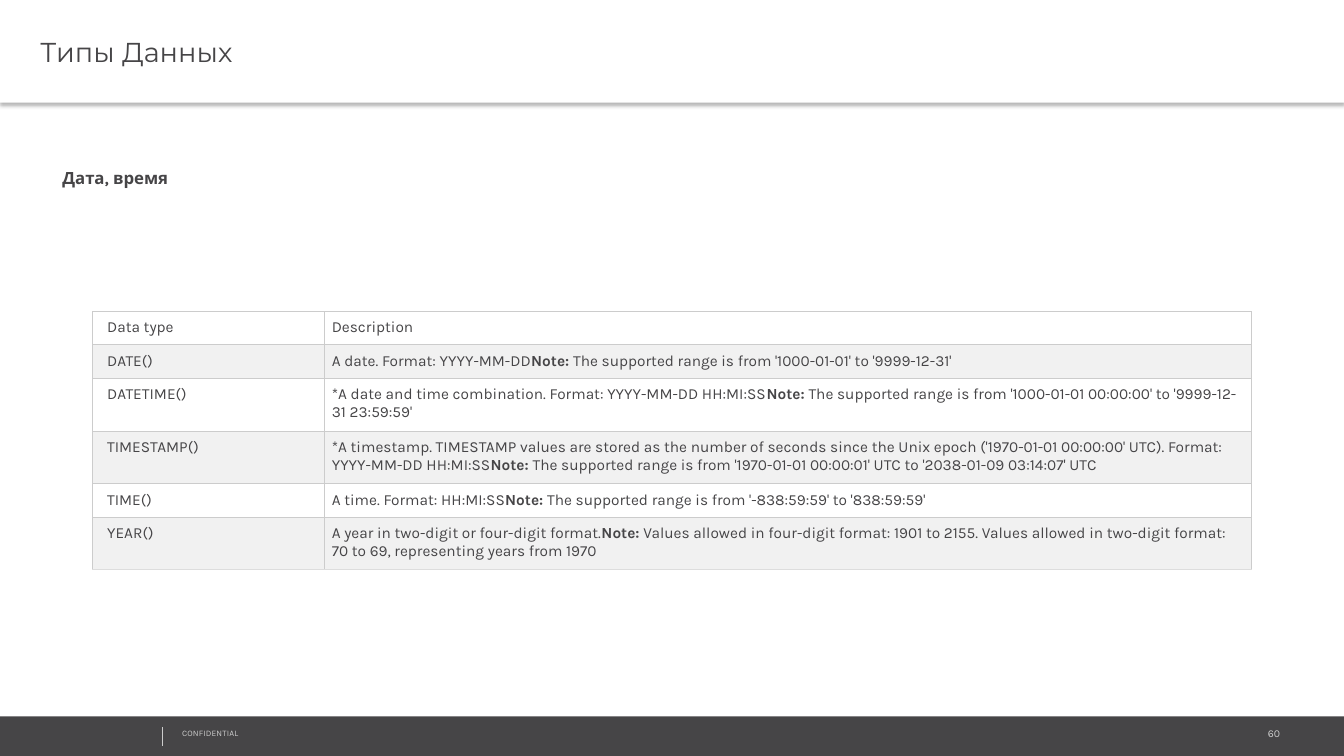
from lxml import etree
from pptx import Presentation
from pptx.dml.color import RGBColor
from pptx.enum import shapes, text
from pptx.oxml import ns
from pptx.util import Cm, Pt

DARK, GREY, WHITE, STRIPE, LAST_EDGE = "464547", "CCCCCC", "FFFFFF", "F1F1F1", "DDDDDD"
HEADER = ("Data type", ["Description"])
DATA_TYPES = [
    ("DATE()", ["A date. Format: YYYY-MM-DD", "Note:",
                " The supported range is from '1000-01-01' to '9999-12-31'"]),
    ("DATETIME()", ["*A date and time combination. Format: YYYY-MM-DD HH:MI:SS", "Note:",
                    " The supported range is from '1000-01-01 00:00:00' to '9999-12-31 23:59:59'"]),
    ("TIMESTAMP()", ["*A timestamp. TIMESTAMP values are stored as the number of seconds since the "
                     "Unix epoch ('1970-01-01 00:00:00' UTC). Format: YYYY-MM-DD HH:MI:SS", "Note:",
                     " The supported range is from '1970-01-01 00:00:01' UTC to '2038-01-09 03:14:07' UTC"]),
    ("TIME()", ["A time. Format: HH:MI:SS", "Note:",
                " The supported range is from '-838:59:59' to '838:59:59'"]),
    ("YEAR()", ["A year in two-digit or four-digit format.", "Note:",
                " Values allowed in four-digit format: 1901 to 2155. Values allowed in two-digit "
                "format: 70 to 69, representing years from 1970"]),
]
ROW_HEIGHTS = [0.84, 0.84, 1.33, 1.33, 0.84, 1.33]


def color(value):
    return RGBColor.from_string(value)


def paint(fill, value):
    fill.solid()
    fill.fore_color.rgb = color(value)


def add_element(parent, tag, **attributes):
    return etree.SubElement(parent, ns.qn(tag), attributes)


def add_span(para, words, size, shade=DARK, font="Karla", bold=False):
    span = para.add_run()
    span.text = words
    span.font.name, span.font.size, span.font.bold = font, Pt(size), bold
    span.font.color.rgb = color(shade)
    return span


def place(shape, box):
    shape.left, shape.top, shape.width, shape.height = map(Cm, box)


def set_title(page, box, words):
    title = page.shapes.title
    place(title, box)
    paint(title.fill, WHITE)
    title.line.fill.background()
    title.shadow.inherit = False
    effects = title._element.spPr.find(ns.qn("a:effectLst"))
    shadow = add_element(effects, "a:outerShdw", blurRad=str(Pt(3.1)), dist=str(Pt(2)),
                         dir="5400000", algn="t", rotWithShape="0")
    add_element(add_element(shadow, "a:srgbClr", val="000000"), "a:alpha", val="30000")
    frame = title.text_frame
    frame.auto_size = text.MSO_AUTO_SIZE.NONE
    frame.vertical_anchor = text.MSO_ANCHOR.MIDDLE
    frame.margin_left = Cm(1.02)
    para = frame.paragraphs[0]
    para.alignment = text.PP_ALIGN.LEFT
    add_span(para, words, 19.5, font="Montserrat")


def set_body(page, box, words):
    body = page.placeholders[1]
    place(body, box)
    body.text_frame.auto_size = text.MSO_AUTO_SIZE.NONE
    para = body.text_frame.paragraphs[0]
    para.line_spacing, para.space_before = 1.2, Pt(0)
    properties = para._p.get_or_add_pPr()
    properties.set("marL", "0")
    properties.set("indent", "0")
    add_element(properties, "a:buNone")
    add_span(para, words, 12, bold=True)


def set_borders(cell, bottom):
    properties = cell._tc.get_or_add_tcPr()
    for side, shade in zip("LRTB", (GREY, GREY, GREY, bottom)):
        line = add_element(properties, f"a:ln{side}", w=str(Pt(0.75)))
        add_element(add_element(line, "a:solidFill"), "a:srgbClr", val=shade)


def add_type_table(page, box, rows):
    table = page.shapes.add_table(len(rows), 2, *map(Cm, box)).table
    table.columns[0].width = Cm(box[2] * 0.2)
    table.columns[1].width = Cm(box[2] * 0.8)
    for index, (name, description) in enumerate(rows):
        table.rows[index].height = Cm(ROW_HEIGHTS[index])
        for column, spans in enumerate(([name], description)):
            cell = table.cell(index, column)
            set_borders(cell, LAST_EDGE if index == len(rows) - 1 else GREY)
            paint(cell.fill, STRIPE if index % 2 else WHITE)
            cell.margin_right = cell.margin_top = cell.margin_bottom = Cm(0.18)
            cell.margin_left = Cm(0.18 if column else 0.36)
            for words in spans:
                add_span(cell.text_frame.paragraphs[0], words, 11, bold=words == "Note:")


def add_label(page, box, words, size, align):
    label = page.shapes.add_textbox(*map(Cm, box))
    label.text_frame.word_wrap = True
    para = label.text_frame.paragraphs[0]
    para.alignment = align
    return add_span(para, words, size, GREY)


def add_footer(page, box, number):
    left, top, width, height = box
    bar = page.shapes.add_shape(shapes.MSO_SHAPE.RECTANGLE, *map(Cm, box))
    bar.shadow.inherit = False
    paint(bar.fill, DARK)
    bar.line.fill.background()
    add_label(page, (left + width - 6.9, top + 0.15, 5.54, 0.58), number, 7.5, text.PP_ALIGN.RIGHT)
    notice = add_label(page, (left + 4.34, top + 0.18, 8.59, 0.51), "CONFIDENTIAL", 6, text.PP_ALIGN.LEFT)
    notice.font._element.set("spc", "10")
    divider = page.shapes.add_connector(
        shapes.MSO_CONNECTOR.STRAIGHT, Cm(left + 4.09), Cm(top + 0.28), Cm(left + 4.09), Cm(top + 0.74))
    divider.line.color.rgb = color(GREY)
    divider.line.width = Pt(0.25)
    add_element(divider._element.spPr, "a:effectLst")


def main():
    deck = Presentation()
    deck.slide_width, deck.slide_height = Cm(33.87), Cm(19.05)
    page = deck.slides.add_slide(deck.slide_layouts[1])
    set_title(page, (0, 0, 33.87, 2.59), "Типы Данных")
    set_body(page, (1.32, 3.99, 31.22, 12.7), "Дата, время")
    add_type_table(page, (2.34, 7.85, 29.21, sum(ROW_HEIGHTS)), [HEADER] + DATA_TYPES)
    add_footer(page, (0, 18.05, 33.87, 1), "60")
    deck.save("out.pptx")


if __name__ == "__main__":
    main()
